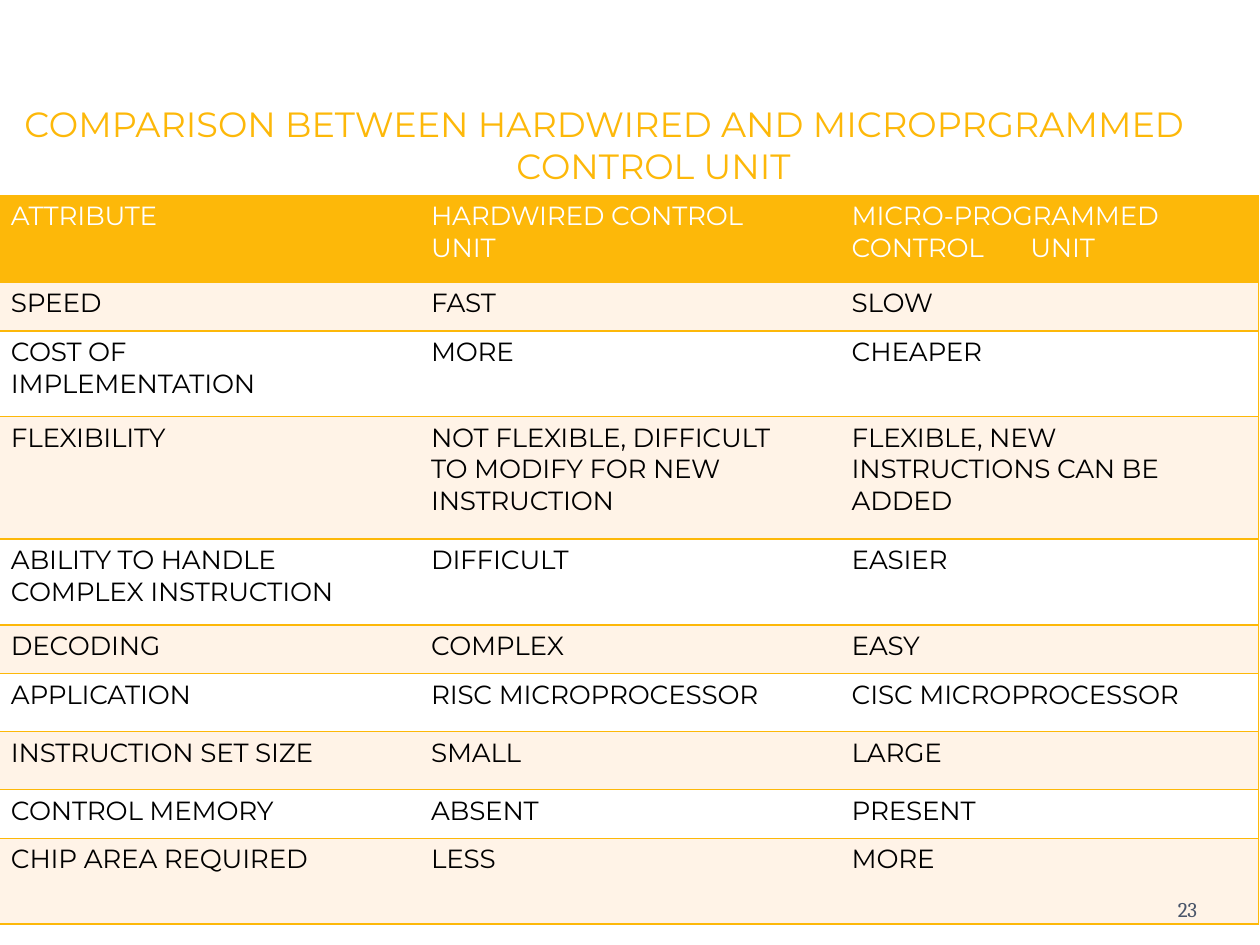
from dataclasses import dataclass

from pptx import Presentation
from pptx.dml.color import RGBColor
from pptx.enum.text import MSO_ANCHOR, PP_ALIGN as Align
from pptx.oxml.ns import qn
from pptx.util import Cm, Pt
from lxml.etree import SubElement


@dataclass(frozen=True)
class Theme:
    gold: str = "FDB809"
    cream: str = "FFF3E7"
    white: str = "FFFFFF"
    black: str = "000000"
    slate: str = "49556A"
    font: str = "Montserrat"
    number_font: str = "Cambria"
    title_size: float = 20
    cell_size: float = 15
    number_size: float = 12
    border: float = 1


THEME = Theme()
PLAIN_TABLE = "{2D5ABB26-0587-4C30-8999-92F81FD0307C}"

# Width, left margin and right margin of each column, in cm
COLUMNS = [(8.08, 0.25, 0.9), (8.74, 0.64, 0.9), (8.58, 0.38, 1.24)]
UNIT_TAB = Cm(3.6)

# Height in cm, then the cells
ROWS = [
    (1.75, "ATTRIBUTE", "HARDWIRED CONTROL UNIT",
     "MICRO-PROGRAMMED CONTROL\tUNIT"),
    (0.98, "SPEED", "FAST", "SLOW"),
    (1.73, "COST OF IMPLEMENTATION", "MORE", "CHEAPER"),
    (2.47, "FLEXIBILITY",
     "NOT FLEXIBLE, DIFFICULT TO MODIFY FOR NEW INSTRUCTION",
     "FLEXIBLE, NEW INSTRUCTIONS CAN BE ADDED"),
    (1.73, "ABILITY TO HANDLE COMPLEX INSTRUCTION", "DIFFICULT", "EASIER"),
    (0.98, "DECODING", "COMPLEX", "EASY"),
    (1.17, "APPLICATION", "RISC MICROPROCESSOR", "CISC MICROPROCESSOR"),
    (1.17, "INSTRUCTION SET SIZE", "SMALL", "LARGE"),
    (0.98, "CONTROL MEMORY", "ABSENT", "PRESENT"),
    (1.73, "CHIP AREA REQUIRED", "LESS", "MORE"),
]


def write(para, text, *, size=THEME.cell_size, color=THEME.black,
          font=THEME.font, align=Align.LEFT, spacing=-0.1, indent=0, tab=None):
    props = para._p.get_or_add_pPr()
    if indent:
        props.set("marL", str(indent))
    if tab:
        stops = SubElement(props, qn("a:tabLst"))
        SubElement(stops, qn("a:tab"), pos=str(tab), algn="l")
    para.alignment = align
    span = para.add_run()
    span.text = text
    span.font.size = Pt(size)
    span.font.name = font
    span.font.color.rgb = RGBColor.from_string(color)
    span._r.get_or_add_rPr().set("spc", str(round(spacing * 100)))


def add_title(page, left, top, width, height):
    frame = page.shapes.add_textbox(left, top, width, height).text_frame
    frame.word_wrap = True
    frame.margin_left = frame.margin_right = frame.margin_bottom = 0
    frame.margin_top = Cm(0.03)
    style = dict(size=THEME.title_size, color=THEME.gold, align=Align.CENTER,
                 spacing=0)
    write(frame.paragraphs[0],
          "COMPARISON BETWEEN HARDWIRED AND MICROPRGRAMMED", **style)
    write(frame.add_paragraph(), "CONTROL UNIT", indent=Cm(1.98), **style)


def draw_borders(cell, sides):
    """Draw gold lines on the given sides, named in the order L, R, T, B."""
    props = cell._tc.get_or_add_tcPr()
    for side in sides:
        line = SubElement(props, qn(f"a:ln{side}"), w=str(Pt(THEME.border)))
        fill = SubElement(line, qn("a:solidFill"))
        SubElement(fill, qn("a:srgbClr"), val=THEME.gold)


def fill_cell(cell, text, row, column):
    header = row == 0
    _, left, right = COLUMNS[column]
    cell.margin_left, cell.margin_right = Cm(left), Cm(right)
    cell.margin_top, cell.margin_bottom = Cm(0.1), 0
    cell.vertical_anchor = MSO_ANCHOR.TOP
    edge = {0: "L", len(COLUMNS) - 1: "" if header else "R"}.get(column, "")
    draw_borders(cell, edge + "TB")
    band = THEME.gold if header else THEME.cream if row % 2 else THEME.white
    cell.fill.solid()
    cell.fill.fore_color.rgb = RGBColor.from_string(band)
    write(cell.text_frame.paragraphs[0], text,
          color=THEME.white if header else THEME.black,
          tab=UNIT_TAB if "\t" in text else None)


def add_page_number(cell, number):
    para = cell.text_frame.add_paragraph()
    para.space_before = Pt(14.5)
    para.line_spacing = Pt(12.8)
    write(para, number, size=THEME.number_size, color=THEME.slate,
          font=THEME.number_font, align=Align.RIGHT, spacing=-0.2)


def add_comparison(page, left, top, width, height):
    table = page.shapes.add_table(len(ROWS), len(COLUMNS), left, top,
                                  width, height).table
    table._tbl.tblPr.find(qn("a:tableStyleId")).text = PLAIN_TABLE
    table.horz_banding = False
    for column, (column_width, *_) in zip(table.columns, COLUMNS):
        column.width = Cm(column_width)
    for i, (row_height, *texts) in enumerate(ROWS):
        table.rows[i].height = Cm(row_height)
        for j, text in enumerate(texts):
            fill_cell(table.cell(i, j), text, i, j)
    add_page_number(table.cell(len(ROWS) - 1, len(COLUMNS) - 1), "23")


def main():
    deck = Presentation()
    deck.slide_width, deck.slide_height = Cm(25.4), Cm(19.05)
    page = deck.slides.add_slide(deck.slide_layouts[6])
    add_title(page, Cm(-0.03), Cm(2.03), Cm(24.43), Cm(1.78))
    add_comparison(page, Cm(-0.03), Cm(3.94), Cm(25.4), Cm(14.69))
    deck.save("out.pptx")


if __name__ == "__main__":
    main()
